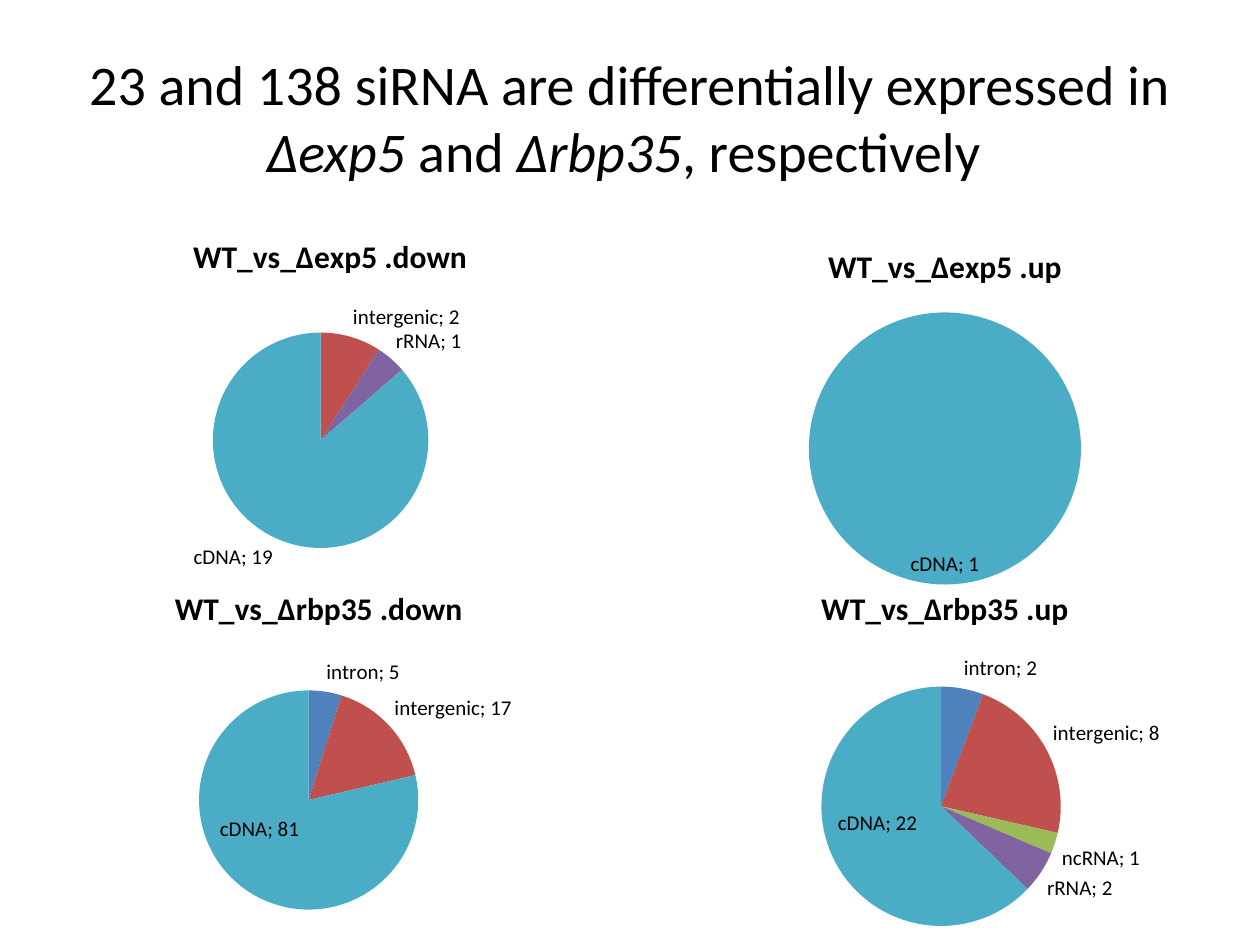
from dataclasses import dataclass

from lxml import etree
from pptx import Presentation
from pptx import util as u
from pptx.chart.data import CategoryChartData
from pptx.dml.color import RGBColor
from pptx.enum import chart as c, text
from pptx.oxml.ns import qn


@dataclass(frozen=True)
class Theme:
    font: str = "Calibri"
    ink: str = "000000"
    slices: tuple = ("4F81BD", "C0504D", "9BBB59", "8064A2", "4BACC6")
    title_size: int = 32
    chart_title_size: int = 18
    label_size: int = 12
    base_size: int = 10


CATEGORIES = ("intron", "intergenic", "ncRNA", "rRNA", "cDNA")
CDNA = CATEGORIES.index("cDNA")
CHART_WIDTH, CHART_HEIGHT = 5, 3
OUTSIDE = c.XL_LABEL_POSITION.OUTSIDE_END
INSIDE = c.XL_LABEL_POSITION.INSIDE_END


def add_layout(parent, index, **values):
    """Insert a manual chart layout into parent at the given child index."""
    layout = etree.Element(qn("c:layout"))
    manual = etree.SubElement(layout, qn("c:manualLayout"))
    for tag, value in values.items():
        etree.SubElement(manual, qn(f"c:{tag}")).set("val", str(value))
    parent.insert(index, layout)


class SlideBuilder:
    def __init__(self, presentation, theme):
        self.theme = theme
        self.slide = presentation.slides.add_slide(presentation.slide_layouts[5])

    def style(self, font, size, **extra):
        values = {"name": self.theme.font, "size": u.Pt(size), **extra}
        for name, value in values.items():
            setattr(font, name, value)
        font.color.rgb = RGBColor.from_string(self.theme.ink)

    def add_title(self, runs, left, top, width, height):
        title = self.slide.shapes.title
        box = {"left": left, "top": top, "width": width, "height": height}
        for name, value in box.items():
            setattr(title, name, u.Inches(value))
        frame = title.text_frame
        frame.auto_size = text.MSO_AUTO_SIZE.NONE
        frame.vertical_anchor = text.MSO_ANCHOR.MIDDLE
        paragraph = frame.paragraphs[0]
        paragraph.alignment = text.PP_ALIGN.CENTER
        for words, italic in runs:
            run = paragraph.add_run()
            run.text = words
            self.style(run.font, self.theme.title_size, italic=italic)

    def add_pie(self, name, values, corner, circle, cdna_position, cdna_shift):
        """Circle is the pie's left, top and diameter on the slide."""
        data = CategoryChartData()
        data.categories = CATEGORIES
        data.add_series(name, values)
        left, top = corner
        frame = self.slide.shapes.add_chart(
            c.XL_CHART_TYPE.PIE, u.Inches(left), u.Inches(top),
            u.Inches(CHART_WIDTH), u.Inches(CHART_HEIGHT), data)
        chart = frame.chart
        self.style(chart.font, self.theme.base_size)
        chart.has_legend = False
        chart.has_title = True
        title_frame = chart.chart_title.text_frame
        title_frame.text = name
        self.style(title_frame.paragraphs[0].runs[0].font,
                   self.theme.chart_title_size, bold=True)
        self.place_pie(chart, left, top, circle)
        plot = chart.plots[0]
        plot.vary_by_categories = True
        for index, color in enumerate(self.theme.slices):
            fill = plot.series[0].points[index].format.fill
            fill.solid()
            fill.fore_color.rgb = RGBColor.from_string(color)
        self.add_labels(plot.series[0], values, cdna_position, cdna_shift)

    def place_pie(self, chart, left, top, circle):
        pie_left, pie_top, diameter = circle
        area = chart.plots[0]._element.getparent()
        for layout in area.findall(qn("c:layout")):
            area.remove(layout)
        add_layout(area, 0, layoutTarget="inner", xMode="edge", yMode="edge",
                   x=(pie_left - left) / CHART_WIDTH,
                   y=(pie_top - top) / CHART_HEIGHT,
                   w=diameter / CHART_WIDTH, h=diameter / CHART_HEIGHT)

    def add_labels(self, series, values, cdna_position, cdna_shift):
        labels = series.data_labels
        formats = {"show_value": True, "show_category_name": True,
                   "show_percentage": False, "position": OUTSIDE}
        for name, value in formats.items():
            setattr(labels, name, value)
        self.style(labels.font, self.theme.label_size)

        # The cDNA label has its own place
        label = series.points[CDNA].data_label
        self.style(label.font, self.theme.label_size)
        label.position = cdna_position
        element = labels._element.find(qn("c:dLbl"))
        element.find(qn("c:showCatName")).set("val", "1")
        if cdna_shift:
            x, y = cdna_shift
            add_layout(element, 1, x=x, y=y)

        # Empty slices carry no label
        empty = [index for index, value in enumerate(values) if not value]
        for place, index in enumerate(empty):
            hidden = etree.Element(qn("c:dLbl"))
            etree.SubElement(hidden, qn("c:idx")).set("val", str(index))
            etree.SubElement(hidden, qn("c:delete")).set("val", "1")
            labels._element.insert(place, hidden)


# Name, values, chart corner, pie circle, cDNA label position and shift
PIES = (
    ("WT_vs_∆exp5 .down", (0, 2, 0, 1, 19), (0.12, 1.7),
     (1.69, 2.64, 1.71), OUTSIDE, None),
    ("WT_vs_∆exp5 .up", (0, 0, 0, 0, 1), (5, 1.78),
     (6.42, 2.48, 2.16), INSIDE, None),
    ("WT_vs_∆rbp35 .down", (5, 17, 0, 0, 81), (0.03, 4.5),
     (1.58, 5.48, 1.74), INSIDE, (-0.04, -0.1)),
    ("WT_vs_∆rbp35 .up", (2, 8, 1, 2, 22), (5, 4.5),
     (6.52, 5.45, 1.9), INSIDE, (0, -0.04)),
)


def main():
    presentation = Presentation()
    presentation.slide_width = u.Inches(10)
    presentation.slide_height = u.Inches(7.5)
    builder = SlideBuilder(presentation, Theme())

    # Title
    builder.add_title(
        (("23 and 138 siRNA are differentially expressed in ", False),
         ("∆exp5 ", True), ("and ", False), ("∆rbp35", True),
         (", respectively ", False)),
        0.5, 0.3, 9, 1.25)

    # Pie charts
    for pie in PIES:
        builder.add_pie(*pie)

    presentation.save("out.pptx")


if __name__ == "__main__":
    main()
